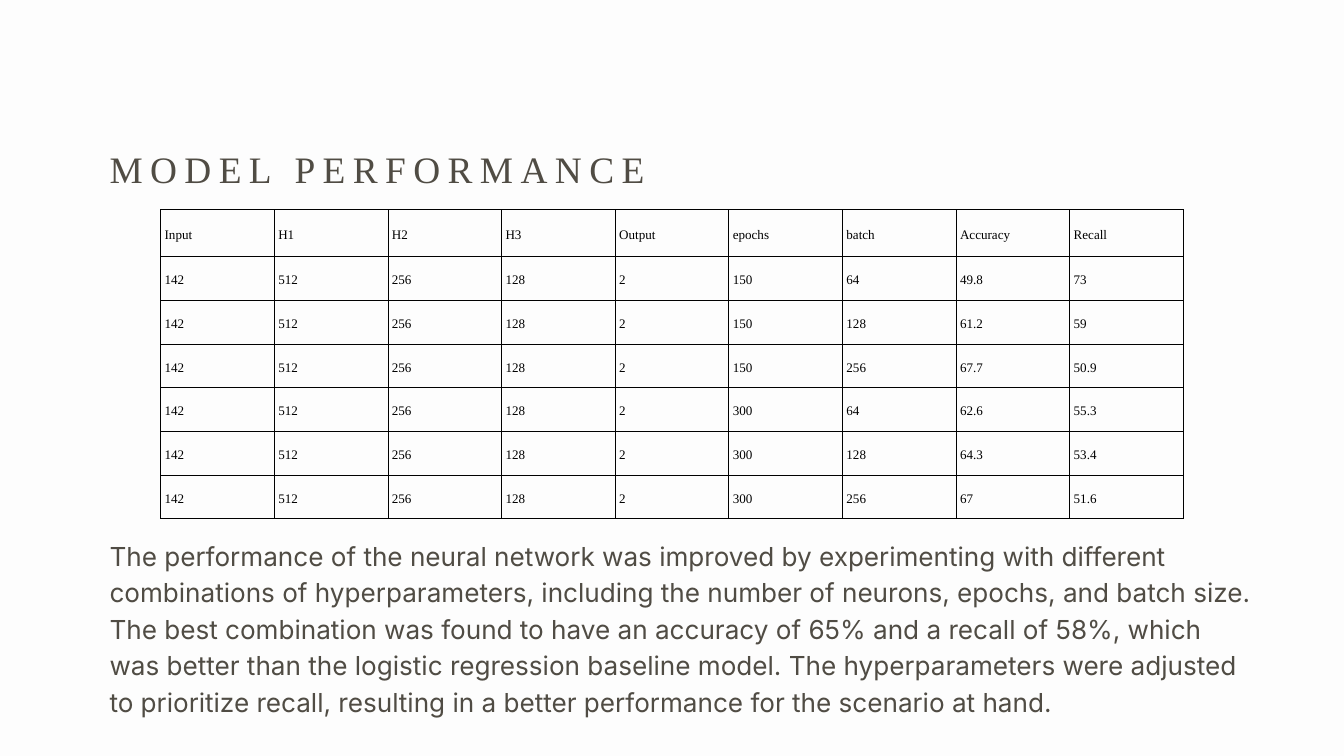
from lxml import etree
from pptx import Presentation
from pptx import util as u
from pptx.dml.color import RGBColor
from pptx.enum import text
from pptx.oxml import parse_xml
from pptx.oxml.ns import nsdecls

PAPER = RGBColor(0xFD, 0xFD, 0xFD)
BLACK = RGBColor(0x00, 0x00, 0x00)
OLIVE = RGBColor(0x50, 0x4C, 0x44)
BORDER_WIDTH = u.Pt(0.75)
MARGINS = ("margin_left", "margin_top", "margin_right", "margin_bottom")


def write(frame, words, line_height, inset, font_format):
    """Fill a table cell or a text frame with one formatted paragraph."""
    for margin in MARGINS:
        setattr(frame, margin, inset)
    para = getattr(frame, "text_frame", frame).paragraphs[0]
    para.line_spacing = u.Pt(line_height)
    span = para.add_run()
    span.text = words
    span.font.color.rgb = font_format["color"]
    for name in ("size", "name"):
        setattr(span.font, name, font_format[name])
    return span


def add_borders(cell):
    properties = cell._tc.get_or_add_tcPr()
    for index, side in enumerate(("lnL", "lnR", "lnT", "lnB")):
        line = parse_xml(
            f'<a:{side} {nsdecls("a")} w="{BORDER_WIDTH}"><a:solidFill>'
            f'<a:srgbClr val="{BLACK}"/></a:solidFill></a:{side}>')
        properties.insert(index, line)


deck = Presentation()
deck.slide_width, deck.slide_height = u.Inches(20), u.Inches(11.25)
page = deck.slides.add_slide(deck.slide_layouts[6])
page.background.fill.solid()
page.background.fill.fore_color.rgb = PAPER

# Results table: every run shares the same layers, only the rest varies
header = ["Input", "H1", "H2", "H3", "Output", "epochs", "batch", "Accuracy", "Recall"]
layers = ["142", "512", "256", "128", "2"]
results = [
    ["150", "64", "49.8", "73"],
    ["150", "128", "61.2", "59"],
    ["150", "256", "67.7", "50.9"],
    ["300", "64", "62.6", "55.3"],
    ["300", "128", "64.3", "53.4"],
    ["300", "256", "67", "51.6"],
]
rows = [header] + [layers + result for result in results]
table = page.shapes.add_table(
    len(rows), len(header),
    u.Inches(2.39), u.Inches(3.12), u.Inches(15.22), u.Inches(4.58)).table
table.first_row = table.horz_banding = False
cell_format = {"size": u.Pt(14), "name": "Times New Roman", "color": BLACK}
for row_index, row in enumerate(rows):
    table.rows[row_index].height = u.Inches(0.65 if row_index else 0.7)
    for column_index, value in enumerate(row):
        cell = table.cell(row_index, column_index)
        cell.vertical_anchor = text.MSO_ANCHOR.MIDDLE
        cell.fill.background()
        add_borders(cell)
        write(cell, value, 19.6, u.Inches(0.06), cell_format)

# Title and commentary share the left edge
summary = (
    "The performance of the neural network was improved by experimenting with "
    "different combinations of hyperparameters, including the number of neurons, "
    "epochs, and batch size. The best combination was found to have an accuracy of "
    "65% and a recall of 58%, which was better than the logistic regression baseline "
    "model. The hyperparameters were adjusted to prioritize recall, resulting in a "
    "better performance for the scenario at hand.")
blocks = [
    # words, top, width, height, line height, letter spacing, size, font
    ("MODEL PERFORMANCE", 2.06, 9.12, 0.73, 56, 8, 40, "Times New Roman"),
    (summary, 7.96, 17.04, 2.7, 39.2, 0, 28, "Inter"),
]
for words, top, width, height, line_height, spacing, size, font in blocks:
    box = page.shapes.add_textbox(
        u.Inches(1.63), u.Inches(top), u.Inches(width), u.Inches(height))
    frame = box.text_frame
    frame.word_wrap = True
    frame.auto_size = text.MSO_AUTO_SIZE.SHAPE_TO_FIT_TEXT
    block_format = {"size": u.Pt(size), "name": font, "color": OLIVE}
    span = write(frame, words, line_height, 0, block_format)
    if spacing:
        span.font._element.set("spc", str(spacing * 100))

deck.save("out.pptx")
